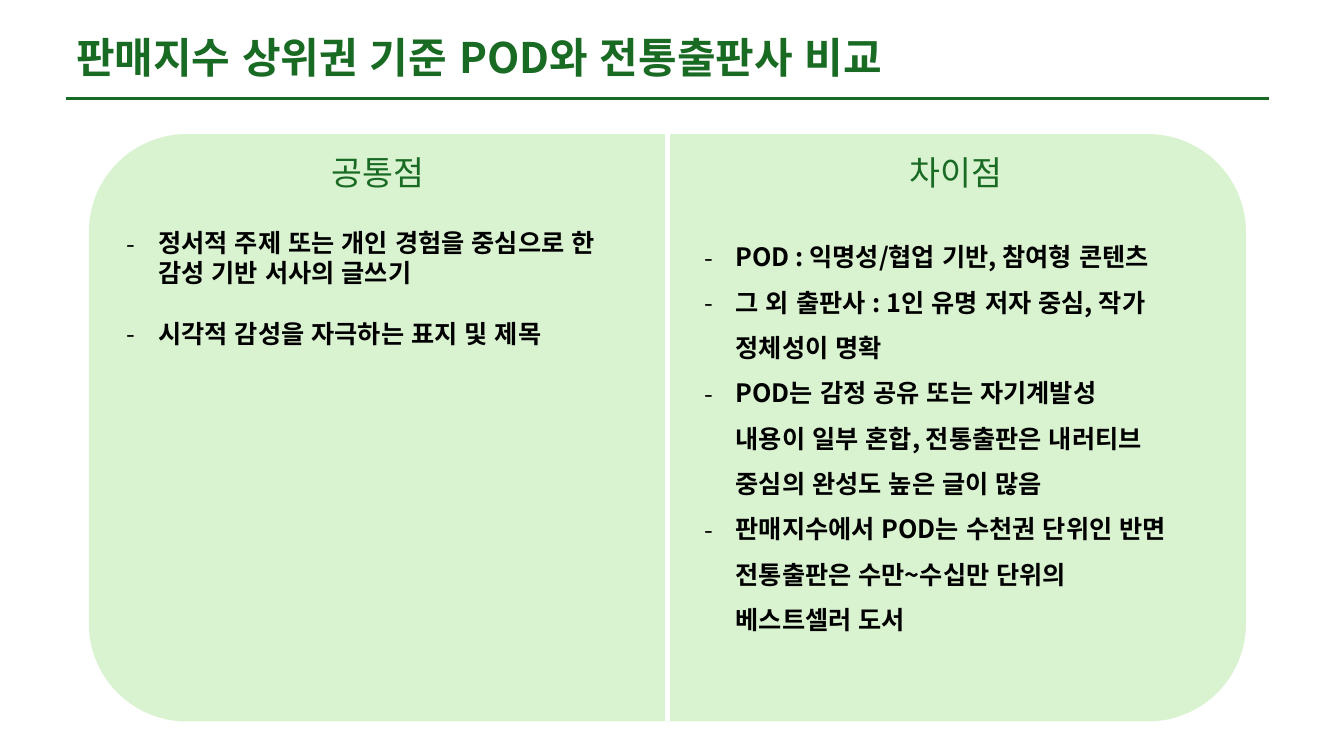
from lxml import etree
from pptx import Presentation
from pptx.dml.color import RGBColor
from pptx.enum.lang import MSO_LANGUAGE_ID
from pptx.enum.shapes import MSO_CONNECTOR, MSO_SHAPE
from pptx.enum.text import PP_ALIGN
from pptx.oxml.ns import qn
from pptx.util import Cm, Pt

STRAIGHT = MSO_CONNECTOR.STRAIGHT
ROUNDED = MSO_SHAPE.ROUNDED_RECTANGLE
LEFT, CENTER = PP_ALIGN.LEFT, PP_ALIGN.CENTER
KOREAN = MSO_LANGUAGE_ID.KOREAN

GREEN = RGBColor(0x19, 0x6B, 0x24)
PALE_GREEN = RGBColor(0xD9, 0xF2, 0xD0)
BLACK = RGBColor(0x00, 0x00, 0x00)
WHITE = RGBColor(0xFF, 0xFF, 0xFF)

COMMON_POINTS = [
    "정서적 주제 또는 개인 경험을 중심으로 한 감성 기반 서사의 글쓰기",
    "시각적 감성을 자극하는 표지 및 제목",
]
DIFFERENCES = [
    "POD : 익명성/협업 기반, 참여형 콘텐츠",
    "그 외 출판사 : 1인 유명 저자 중심, 작가 정체성이 명확",
    "POD는 감정 공유 또는 자기계발성 내용이 일부 혼합, 전통출판은 내러티브 중심의 완성도 높은 글이 많음",
    "판매지수에서 POD는 수천권 단위인 반면 전통출판은 수만~수십만 단위의 베스트셀러 도서",
]


class ComparisonSlide:
    """Draws the elements of a two-column comparison in one style."""

    font_name = "Noto Sans CJK KR"
    indent = Cm(0.79)

    def __init__(self, slide):
        self.slide = slide

    def line(self, start, end, color, width):
        connector = self.slide.shapes.add_connector(
            STRAIGHT, *(Cm(value) for value in start + end))
        connector.line.color.rgb = color
        connector.line.width = Pt(width)
        etree.SubElement(connector._element.spPr, qn("a:effectLst"))

    def panel(self, left, top, width, height):
        shape = self.slide.shapes.add_shape(
            ROUNDED, Cm(left), Cm(top), Cm(width), Cm(height))
        shape.shadow.inherit = False
        shape.fill.solid()
        shape.fill.fore_color.rgb = PALE_GREEN
        shape.line.fill.background()

    def text_frame(self, left, top, width, height):
        box = self.slide.shapes.add_textbox(
            Cm(left), Cm(top), Cm(width), Cm(height))
        box.text_frame.word_wrap = True
        return box.text_frame

    def style(self, paragraph, size, color, bold):
        font = paragraph.font
        font.name = self.font_name
        font.size = Pt(size)
        font.bold = bold
        font.color.rgb = color
        font.language_id = KOREAN
        properties = paragraph._p.get_or_add_pPr().get_or_add_defRPr()
        properties.set("altLang", "en-US")
        etree.SubElement(properties, qn("a:ea"), typeface=self.font_name)

    def heading(self, text, box, size, bold=False, alignment=CENTER):
        paragraph = self.text_frame(*box).paragraphs[0]
        paragraph.text = text
        paragraph.alignment = alignment
        self.style(paragraph, size, GREEN, bold)

    def bullets(self, items, box, line_spacing=1.0, gap=0):
        frame = self.text_frame(*box)
        for index, item in enumerate(items):
            paragraph = frame.paragraphs[0] if index == 0 else frame.add_paragraph()
            paragraph.text = item
            paragraph.line_spacing = line_spacing
            paragraph.space_before = Pt(gap if index else 0)
            properties = paragraph._p.get_or_add_pPr()
            properties.set("marL", str(self.indent))
            properties.set("indent", str(-self.indent))
            etree.SubElement(properties, qn("a:buFont"), typeface=self.font_name)
            etree.SubElement(properties, qn("a:buChar"), char="-")
            self.style(paragraph, 18, BLACK, True)


def main():
    presentation = Presentation()
    presentation.slide_width = Cm(33.87)
    presentation.slide_height = Cm(19.05)
    slide = presentation.slides.add_slide(presentation.slide_layouts[6])
    comparison = ComparisonSlide(slide)

    comparison.line((1.67, 2.48), (31.98, 2.48), GREEN, 2.25)
    comparison.heading("판매지수 상위권 기준 POD와 전통출판사 비교",
                       (1.67, 0.66, 30.3, 1.55), 30, True, LEFT)
    comparison.panel(2.24, 3.38, 29.16, 14.8)
    comparison.line((16.82, 3.38), (16.82, 18.18), WHITE, 3)
    comparison.heading("공통점", (4.11, 3.7, 10.85, 1.27), 24)
    comparison.heading("차이점", (18.66, 3.7, 10.85, 1.27), 24)
    comparison.bullets(COMMON_POINTS, (2.95, 5.6, 12.83, 3.33), gap=21.6)
    comparison.bullets(DIFFERENCES, (17.5, 5.58, 12.24, 10.52), line_spacing=1.5)

    presentation.save("out.pptx")


if __name__ == "__main__":
    main()
